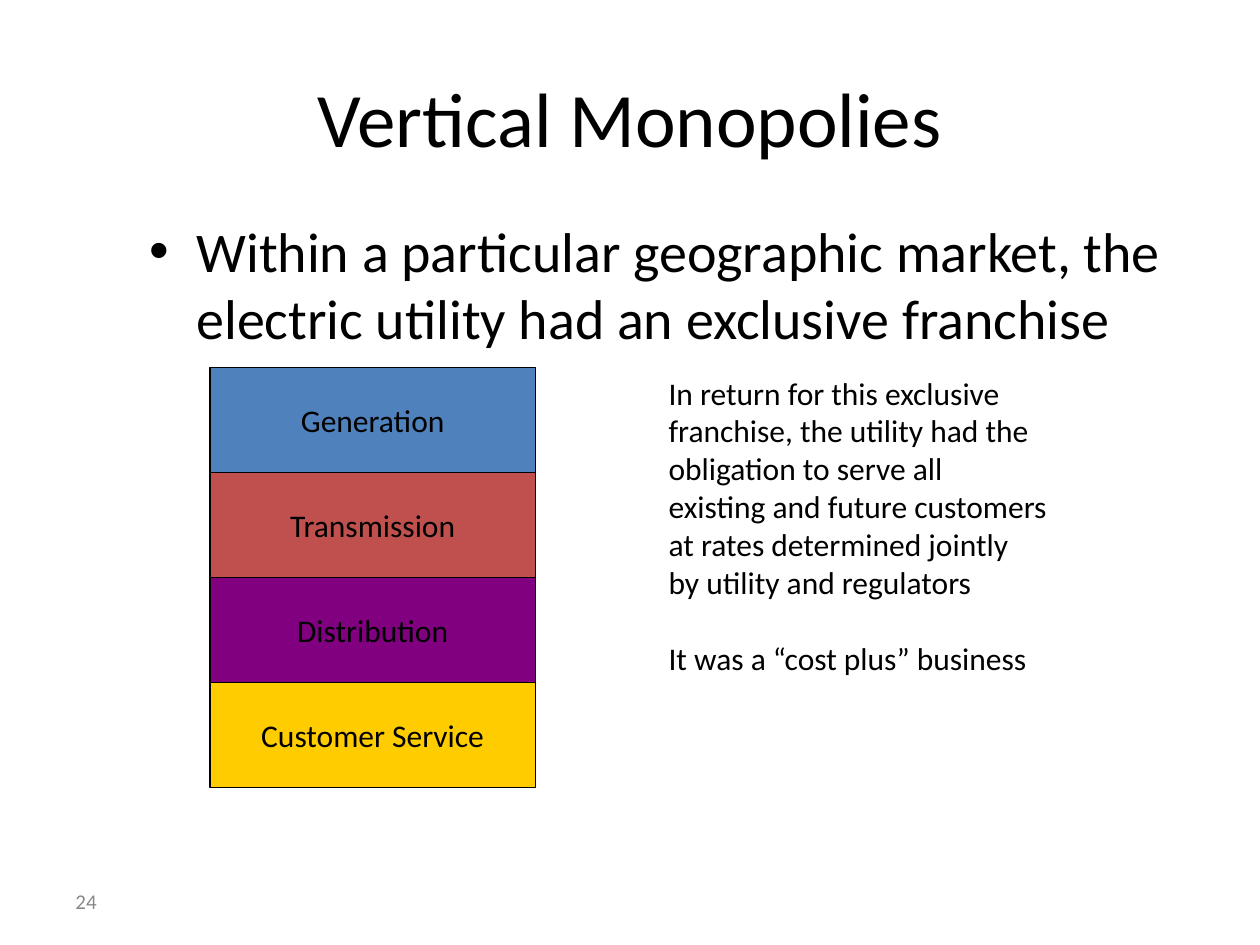
"""Build the Vertical Monopolies slide."""
from dataclasses import dataclass

from pptx import Presentation
from pptx.dml.color import RGBColor
from pptx.enum.shapes import MSO_SHAPE
from pptx.enum.text import MSO_ANCHOR, MSO_AUTO_SIZE, PP_ALIGN
from pptx.util import Pt

RECTANGLE = MSO_SHAPE.RECTANGLE
MIDDLE, TOP = MSO_ANCHOR.MIDDLE, MSO_ANCHOR.TOP
CENTER, LEFT = PP_ALIGN.CENTER, PP_ALIGN.LEFT
GROW = MSO_AUTO_SIZE.SHAPE_TO_FIT_TEXT


@dataclass(frozen=True)
class Theme:
    font: str = "Calibri"
    ink: str = "000000"
    muted: str = "898989"
    blue: str = "4F81BD"
    red: str = "C0504D"
    purple: str = "800080"
    yellow: str = "FFCC00"
    title: int = 44
    body: int = 32
    label: int = 18
    number: int = 12


THEME = Theme()


def place(shape, left, top, width, height):
    shape.left, shape.top = Pt(left), Pt(top)
    shape.width, shape.height = Pt(width), Pt(height)


def write(paragraph, text, size, color=THEME.ink, align=LEFT, before=0):
    paragraph.alignment = align
    paragraph.space_before = Pt(before)
    run = paragraph.add_run()
    run.text = text
    run.font.name = THEME.font
    run.font.size = Pt(size)
    run.font.color.rgb = RGBColor.from_string(color)


deck = Presentation()
deck.slide_width, deck.slide_height = Pt(720), Pt(540)
slide = deck.slides.add_slide(deck.slide_layouts[1])

heading = slide.shapes.title
place(heading, 36, 21.6, 648, 90)
heading.text_frame.vertical_anchor = MIDDLE
write(heading.text_frame.paragraphs[0], "Vertical Monopolies", THEME.title, align=CENTER)

franchise = slide.placeholders[1]
place(franchise, 78, 120, 630, 366)
write(
    franchise.text_frame.paragraphs[0],
    "Within a particular geographic market, the electric utility had an exclusive franchise",
    THEME.body,
)

page_number = slide.shapes.add_textbox(Pt(36), Pt(500.5), Pt(168), Pt(28.75))
page_number.text_frame.word_wrap = True
page_number.text_frame.vertical_anchor = MIDDLE
write(page_number.text_frame.paragraphs[0], "24", THEME.number, THEME.muted)

stages = [
    ("Generation", THEME.blue),
    ("Transmission", THEME.red),
    ("Distribution", THEME.purple),
    ("Customer Service", THEME.yellow),
]
stage_height = 60
utility = slide.shapes.add_group_shape()
for level, (name, color) in enumerate(stages):
    stage = utility.shapes.add_shape(
        RECTANGLE, Pt(120), Pt(210 + level * stage_height), Pt(186), Pt(stage_height)
    )
    stage.shadow.inherit = False
    stage.fill.solid()
    stage.fill.fore_color.rgb = RGBColor.from_string(color)
    stage.line.color.rgb = RGBColor.from_string(THEME.ink)
    stage.line.width = Pt(0.75)
    stage.text_frame.word_wrap = False
    stage.text_frame.vertical_anchor = MIDDLE
    write(stage.text_frame.paragraphs[0], name, THEME.label, align=CENTER)

obligation_lines = [
    ("In return for this exclusive", 0),
    ("franchise, the utility had the", 0),
    ("obligation to serve all", 0),
    ("existing and future customers", 0),
    ("at rates determined jointly", 0),
    ("by utility and regulators", 0),
    ("It was a “cost plus” business", 22),
]
obligation = slide.shapes.add_textbox(Pt(375), Pt(210), Pt(232), Pt(180))
obligation_text = obligation.text_frame
obligation_text.word_wrap = False
obligation_text.auto_size = GROW
obligation_text.vertical_anchor = TOP
for index, (line, gap) in enumerate(obligation_lines):
    paragraph = obligation_text.add_paragraph() if index else obligation_text.paragraphs[0]
    write(paragraph, line, THEME.label, before=gap)

deck.save("out.pptx")
